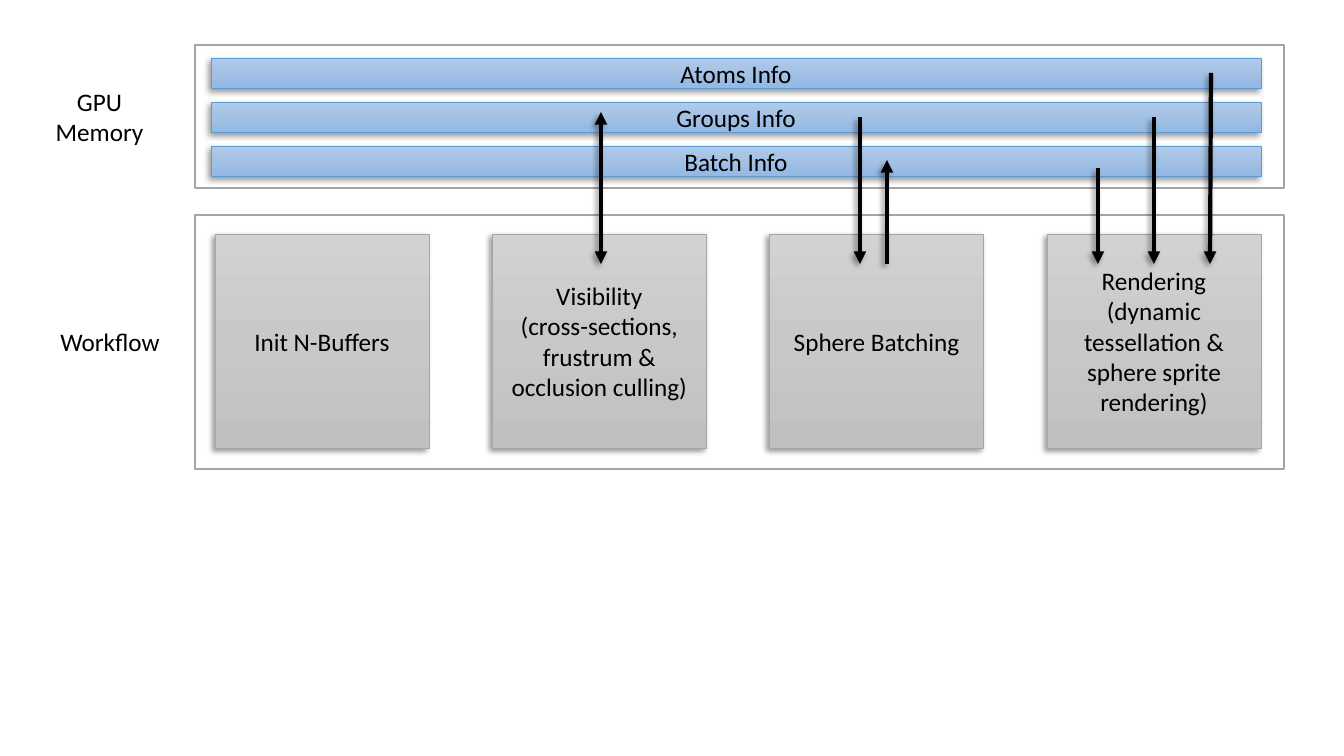
import copy
import pptx
import pptx.util
import pptx.dml.color
import pptx.enum.shapes
import pptx.enum.text
import pptx.oxml
import pptx.oxml.ns

# Content
bars = ["Atoms Info", "Groups Info", "Batch Info"]
steps = [
    ["Init N-Buffers"],
    ["Visibility", "(cross-sections, frustrum & occlusion culling)"],
    ["Sphere Batching"],
    ["Rendering", "(dynamic tessellation & sphere sprite rendering)"],
]
labels = [("GPU Memory", (45, 81, 109, 72)), ("Workflow", (47, 321, 126, 40))]
panels = {"memory": (195, 45, 1089, 143), "work": (195, 215, 1089, 254)}
PORT = 264  # height at which arrows meet the workflow steps
arrows = [  # x and y of start, x and y of end, heads at both ends
    (601, 112, 601, PORT, True),
    (860, 117, 860, PORT, False),
    (887, PORT, 887, 160, False),
    (1098, 168, 1098, PORT, False),
    (1154, 117, 1154, PORT, False),
    (1211, 73, 1210, PORT, False),
]

# Theme
theme = {
    "font": "Calibri", "size": 18, "ink": "000000",
    "paper": "FFFFFF", "edge": "A5A5A5", "rim": "5B9BD5",
    "gray": ["D2D2D2", "C8C8C8", "C0C0C0"],
    "blue": ["B1CBE9", "A3C1E5", "93B9E4"],
}
SCALE = 914400 / 100.8
RIGHT = 1261  # shared right edge of bars and steps

deck = pptx.Presentation()


def px(*nums):
    return [pptx.util.Emu(round(n * SCALE)) for n in nums]


def rgb(code):
    return pptx.dml.color.RGBColor.from_string(code)


deck.slide_width, deck.slide_height = px(1344, 756)
slide = deck.slides.add_slide(deck.slide_layouts[6])
shapes = slide.shapes


def write(frame, text, size=theme["size"], color=theme["ink"], middle=True):
    """Fill a frame with centred paragraphs."""
    anchor = pptx.enum.text.MSO_ANCHOR
    frame.word_wrap = True
    frame.vertical_anchor = anchor.MIDDLE if middle else anchor.TOP
    frame.text = text
    for para in frame.paragraphs:
        para.alignment = pptx.enum.text.PP_ALIGN.CENTER
        font = para.runs[0].font
        font.name, font.size = theme["font"], pptx.util.Pt(size)
        font.color.rgb = rgb(color)


def shade(item):
    """Give a shape or arrow its soft shadow."""
    ns = pptx.oxml.ns.nsdecls("a")
    old = item._element.spPr.find(pptx.oxml.ns.qn("a:effectLst"))
    if old is not None:
        item._element.spPr.remove(old)
    item._element.spPr.append(pptx.oxml.parse_xml(
        f'<a:effectLst {ns}><a:outerShdw blurRad="50800" dist="38100" '
        f'dir="8100000" rotWithShape="0"><a:srgbClr val="{theme["ink"]}">'
        '<a:alpha val="40000"/></a:srgbClr></a:outerShdw></a:effectLst>'))


def blend(fill, tones, item):
    """Set a downward gradient of three tones."""
    fill.gradient()
    fill.gradient_angle = 270
    last = item._element.spPr.findall(".//" + pptx.oxml.ns.qn("a:gs"))[-1]
    last.addprevious(copy.deepcopy(last))
    for i, (stop, tone) in enumerate(zip(fill.gradient_stops, tones)):
        stop.position = i / 2
        stop.color.rgb = rgb(tone)


def box(place, line, width, tones=None, text=None):
    kind = pptx.enum.shapes.MSO_SHAPE.RECTANGLE
    item = shapes.add_shape(kind, *px(*place))
    item.shadow.inherit = False
    item.line.color.rgb = rgb(line)
    item.line.width = pptx.util.Pt(width)
    if tones:
        blend(item.fill, tones, item)
        shade(item)
    else:
        item.fill.solid()
        item.fill.fore_color.rgb = rgb(theme["paper"])
    if text:
        write(item.text_frame, text)


def arrow(x1, y1, x2, y2, both):
    kind = pptx.enum.shapes.MSO_CONNECTOR.STRAIGHT
    item = shapes.add_connector(kind, *px(x1, y1, x2, y2))
    item.line.color.rgb = rgb(theme["ink"])
    item.line.width = pptx.util.Pt(3)
    ln = item.line._get_or_add_ln()
    for end in ["headEnd", "tailEnd"] if both else ["tailEnd"]:
        ns = pptx.oxml.ns.nsdecls("a")
        ln.append(pptx.oxml.parse_xml(f'<a:{end} {ns} type="triangle"/>'))
    shade(item)


# Workflow steps, spread evenly up to the right edge
box(panels["work"], theme["edge"], 1)
left, side = 215, 214
pitch = (RIGHT - side - left) / (len(steps) - 1)
for i, step in enumerate(steps):
    place = (left + i * pitch, 234, side, side)
    box(place, theme["edge"], 0.5, theme["gray"], "\n".join(step))

# Memory bars
box(panels["memory"], theme["edge"], 1)
for i, name in reversed(list(enumerate(bars))):
    place = (211, 58 + 44 * i, RIGHT - 211, 30)
    box(place, theme["rim"], 0.5, theme["blue"], name)

# Data flow
for flow in arrows:
    arrow(*flow)

# Row labels
for text, place in labels:
    frame = shapes.add_textbox(*px(*place)).text_frame
    write(frame, text, middle=False)
    frame.auto_size = pptx.enum.text.MSO_AUTO_SIZE.SHAPE_TO_FIT_TEXT

deck.save("out.pptx")
